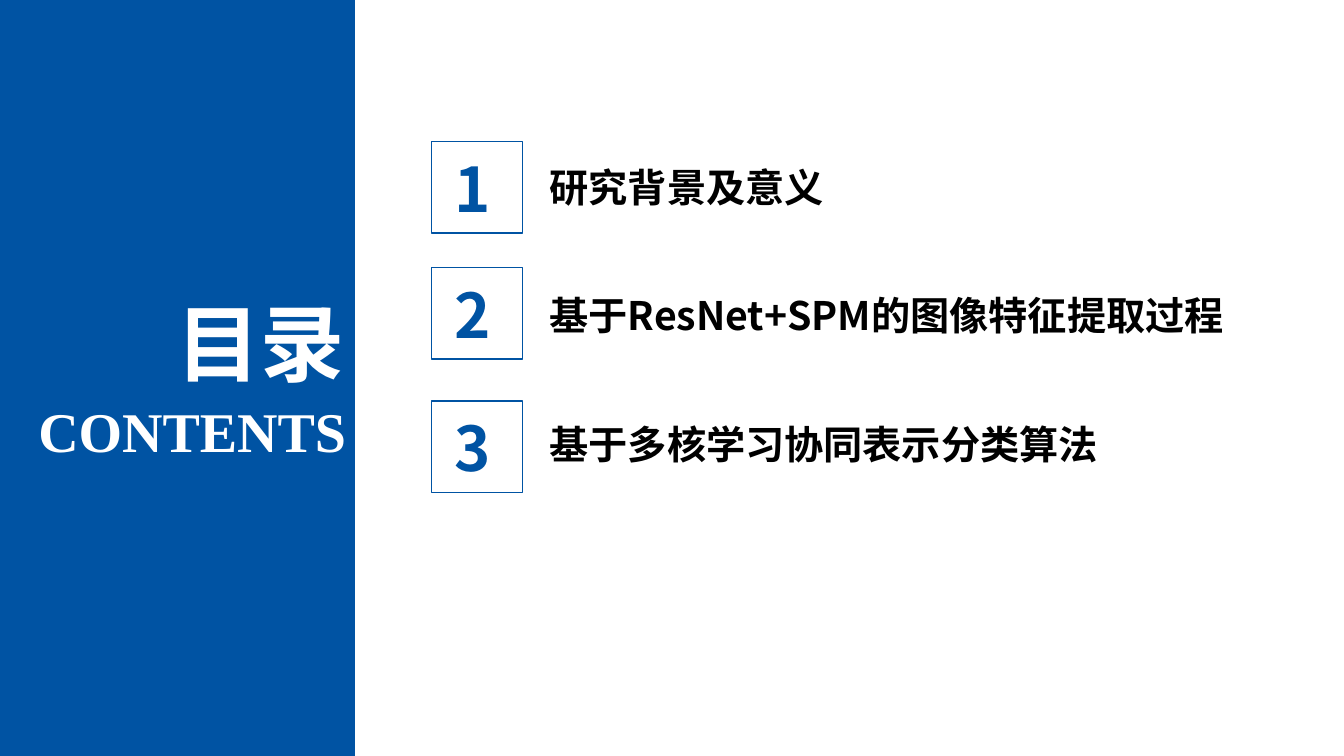
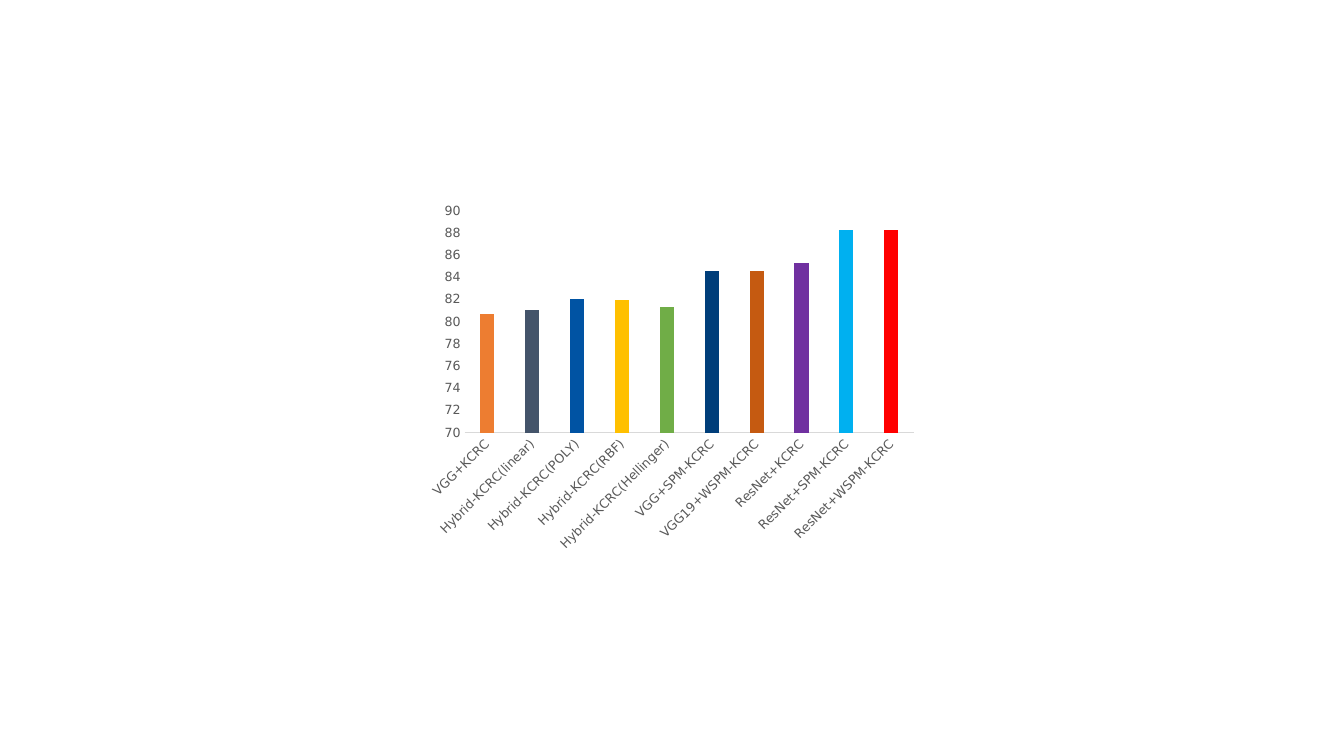
"""Build a contents slide and a column chart comparing classification methods."""
from lxml import etree
from pptx import Presentation
from pptx.chart.data import CategoryChartData
from pptx.dml.color import RGBColor
from pptx.enum.chart import XL_CHART_TYPE, XL_TICK_MARK
from pptx.enum.shapes import MSO_SHAPE
from pptx.enum.text import MSO_ANCHOR, MSO_AUTO_SIZE, PP_ALIGN
from pptx.oxml.ns import qn
from pptx.util import Pt

COLUMNS = XL_CHART_TYPE.COLUMN_CLUSTERED
NO_TICKS = XL_TICK_MARK.NONE
RECTANGLE = MSO_SHAPE.RECTANGLE
TOP = MSO_ANCHOR.TOP
GROW = MSO_AUTO_SIZE.SHAPE_TO_FIT_TEXT
LEFT, CENTER, RIGHT = PP_ALIGN.LEFT, PP_ALIGN.CENTER, PP_ALIGN.RIGHT

PX = 9525
SLIDE_WIDTH, SLIDE_HEIGHT = 1280, 720
TITLE_ONLY, BLANK = 5, 6
HEADING_FONT = "Noto Sans CJK SC"
LATIN_FONT = "Times New Roman"
CHART_FONT = "DejaVu Sans"
COLORS = {
    "blue": "0053A3", "white": "FFFFFF", "black": "000000",
    "label": "595959", "axis": "D9D9D9", "orange": "ED7D31",
    "slate": "44546A", "yellow": "FFC000", "green": "70AD47",
    "navy": "003E7A", "rust": "C55A11", "purple": "7030A0",
    "sky": "00B0F0", "red": "FF0000",
}

TITLE = "目录"
SUBTITLE = "CONTENTS"
CHAPTERS = [
    ("研究背景及意义", 135, 151),
    ("基于ResNet+SPM的图像特征提取过程", 255, 273),
    ("基于多核学习协同表示分类算法", 382, 396),
]
BAND_WIDTH = 338
BOX_LEFT, BOX_SIZE = 411, 87

METHODS = [
    ("VGG+KCRC", 80.7, "orange"),
    ("Hybrid-KCRC(linear)", 81.1, "slate"),
    ("Hybrid-KCRC(POLY)", 82.1, "blue"),
    ("Hybrid-KCRC(RBF)", 82, "yellow"),
    ("Hybrid-KCRC(Hellinger)", 81.3, "green"),
    ("VGG+SPM-KCRC", 84.6, "navy"),
    ("VGG19+WSPM-KCRC", 84.6, "rust"),
    ("ResNet+KCRC", 85.3, "purple"),
    ("ResNet+SPM-KCRC", 88.3, "sky"),
    ("ResNet+WSPM-KCRC", 88.3, "red"),
]
CHART_AREA = (400, 187, 480, 345)


def color(name):
    return RGBColor.from_string(COLORS[name])


def to_emu(*lengths):
    return [length * PX for length in lengths]


def style_font(font, name, size, color_name, bold=False):
    font.name = name
    font.size = Pt(size)
    font.bold = bold
    font.color.rgb = color(color_name)


def write_text(shape, text, size, color_name, align, font_name=HEADING_FONT):
    frame = shape.text_frame
    frame.text = text
    frame.word_wrap = True
    frame.auto_size = GROW
    frame.vertical_anchor = TOP
    paragraph = frame.paragraphs[0]
    paragraph.alignment = align
    run = paragraph.runs[0]
    style_font(run.font, font_name, size, color_name, bold=True)
    east_asian = etree.SubElement(run.font._element, qn("a:ea"))
    east_asian.set("typeface", font_name)


def add_rectangle(shapes, area, fill=None, line=None):
    shape = shapes.add_shape(RECTANGLE, *to_emu(*area))
    shape.shadow.inherit = False
    if fill:
        shape.fill.solid()
        shape.fill.fore_color.rgb = color(fill)
    else:
        shape.fill.background()
    if line:
        shape.line.color.rgb = color(line)
        shape.line.width = Pt(1)
    else:
        shape.line.fill.background()
    return shape


def add_chapter(slide, number, text, box_top, text_top):
    shapes = slide.shapes.add_group_shape().shapes
    label = shapes.add_textbox(*to_emu(514, text_top, 705, 55))
    write_text(label, text, 28, "black", LEFT)
    digit = shapes.add_textbox(*to_emu(BOX_LEFT - 4, box_top + 4, BOX_SIZE, 81))
    write_text(digit, str(number), 44, "blue", CENTER)
    add_rectangle(shapes, (BOX_LEFT, box_top, BOX_SIZE, BOX_SIZE), line="blue")


def build_contents(presentation):
    slide = presentation.slides.add_slide(presentation.slide_layouts[TITLE_ONLY])
    title = slide.shapes.title
    title.left, title.top, title.width, title.height = to_emu(94, 273, 244, 107)
    write_text(title, TITLE, 60, "white", RIGHT)
    band = add_rectangle(slide.shapes, (0, 0, BAND_WIDTH, SLIDE_HEIGHT), fill="blue")
    title.element.addprevious(band.element)
    subtitle = slide.shapes.add_textbox(*to_emu(0, 373, BAND_WIDTH + 1, 74))
    write_text(subtitle, SUBTITLE, 40, "white", RIGHT, LATIN_FONT)
    for number, chapter in enumerate(CHAPTERS, 1):
        add_chapter(slide, number, *chapter)


def style_axis(axis):
    axis.has_major_gridlines = False
    axis.major_tick_mark = axis.minor_tick_mark = NO_TICKS
    style_font(axis.tick_labels.font, CHART_FONT, 9, "label")


def build_chart(presentation):
    slide = presentation.slides.add_slide(presentation.slide_layouts[BLANK])
    data = CategoryChartData()
    data.categories = [name for name, _, _ in METHODS]
    data.add_series("Series 1", [value for _, value, _ in METHODS])
    chart = slide.shapes.add_chart(COLUMNS, *to_emu(*CHART_AREA), data).chart
    chart.has_title = False
    chart.has_legend = False
    style_font(chart.font, CHART_FONT, 10, "black")

    style_axis(chart.category_axis)
    category_line = chart.category_axis.format.line
    category_line.color.rgb = color("axis")
    category_line.width = Pt(0.75)
    label_body = chart.category_axis._element.find(qn("c:txPr")).find(qn("a:bodyPr"))
    label_body.set("rot", "-2700000")

    value_axis = chart.value_axis
    style_axis(value_axis)
    value_axis.minimum_scale, value_axis.maximum_scale = 70, 90
    value_axis.major_unit = 2
    value_axis.format.line.fill.background()

    plot = chart.plots[0]
    plot.gap_width, plot.overlap = 219, -27
    plot.vary_by_categories = False
    series = plot.series[0]
    series.format.fill.solid()
    series.format.fill.fore_color.rgb = color(METHODS[0][2])
    for index, (_, _, color_name) in enumerate(METHODS[1:], 1):
        fill = series.points[index].format.fill
        fill.solid()
        fill.fore_color.rgb = color(color_name)


def main():
    presentation = Presentation()
    presentation.slide_width, presentation.slide_height = to_emu(SLIDE_WIDTH, SLIDE_HEIGHT)
    build_contents(presentation)
    build_chart(presentation)
    presentation.save("out.pptx")


if __name__ == "__main__":
    main()
